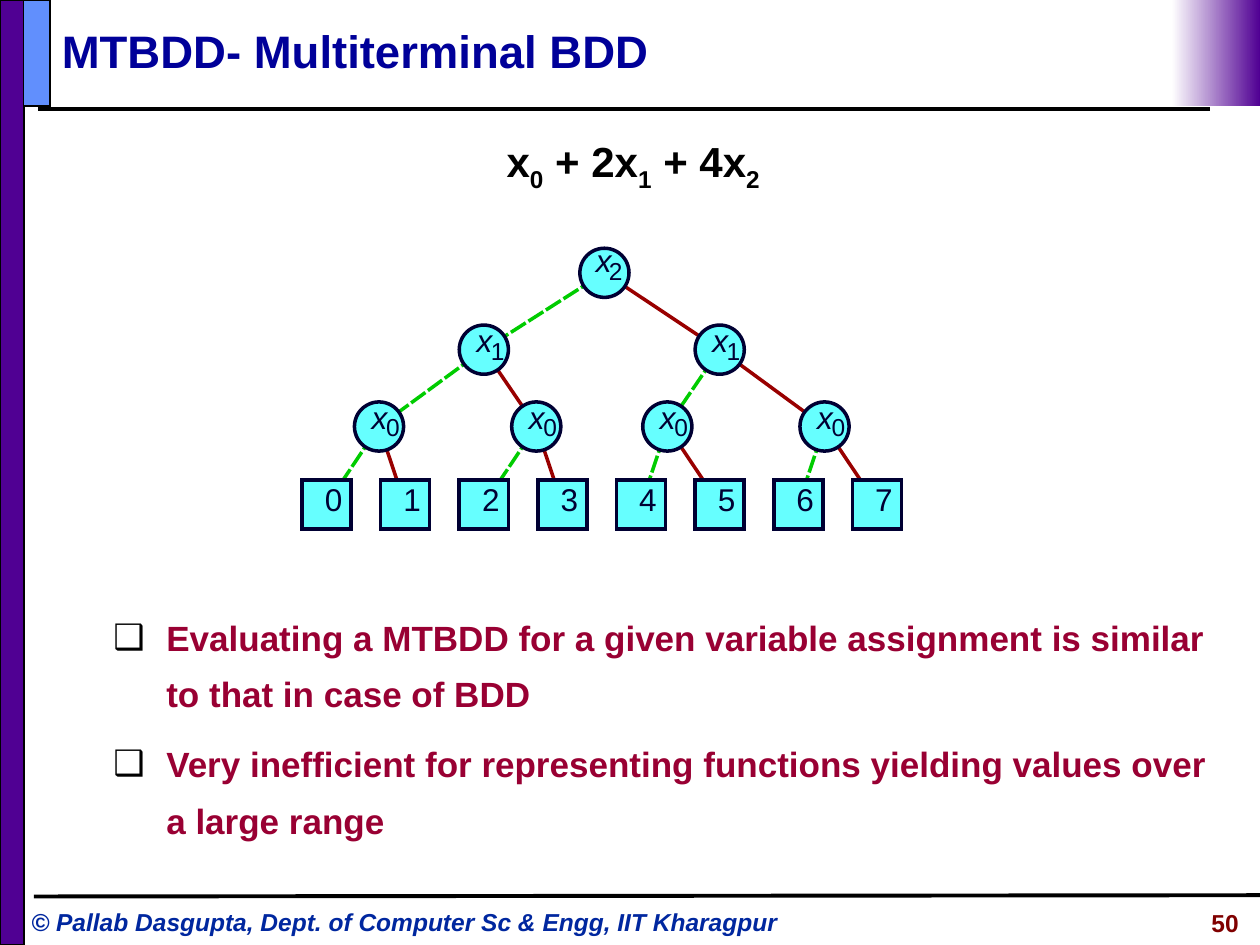
import math

from lxml import etree
from pptx import Presentation
from pptx import util as u
from pptx.dml.color import RGBColor
from pptx.enum import shapes, text
from pptx.oxml import ns

COLUMNS, ROWS = 100, 75
INK, NODE_FILL, LOW, HIGH = "000033", "66FFFF", "00CC00", "990000"
PITCH, NODE, TREE_LEFT = 2.08, 3.9, 23.97
LEVEL_TOPS = [19.7, 25.8, 31.9, 38.1]
DASH, DASH_STEP, DASH_START, LEAF_REACH = 1.4, 1.65, -0.85, 5.6
TREE = [
    ("2", [(10.6, [0, 1])]),
    ("1", [(6, [0, 1]), (15, [2, 3])]),
    ("0", [(2, [0, 1]), (8, [2, 3]), (13, [4, 5]), (19, [6, 7])]),
]
LEAF_COLUMNS = [3 * value for value in range(8)]
FORMULA = [("x", 0), ("0", -25), (" + 2x", 0), ("1", -25), (" + 4x", 0), ("2", -25)]
REMARKS = [
    "Evaluating a MTBDD for a given variable assignment is similar to that in case of BDD",
    "Very inefficient for representing functions yielding values over a large range",
]


def rgb(value):
    return RGBColor.from_string(value)


def child(parent, tag, **attributes):
    return etree.SubElement(parent, ns.qn(tag), attributes)


class Deck:
    font_name = "Arial"

    def __init__(self):
        self.file = Presentation()
        self.file.slide_width, self.file.slide_height = u.Inches(10), u.Inches(7.5)
        self.slide = self.file.slides.add_slide(self.file.slide_layouts[1])

    def across(self, columns):
        return int(self.file.slide_width * columns / COLUMNS)

    def down(self, rows):
        return int(self.file.slide_height * rows / ROWS)

    def area(self, left, top, width, height):
        return self.across(left), self.down(top), self.across(width), self.down(height)

    def style(self, font, size, color, **flags):
        values = {"name": self.font_name, "size": u.Pt(size), **flags}
        for key, value in values.items():
            setattr(font, key, value)
        font.color.rgb = rgb(color)

    def frame(self, holder, wrap=True, inset=(0.1, 0.05), anchor=text.MSO_ANCHOR.TOP):
        side, edge = map(u.Inches, inset)
        values = {
            "word_wrap": wrap, "auto_size": text.MSO_AUTO_SIZE.NONE,
            "vertical_anchor": anchor, "margin_left": side, "margin_right": side,
            "margin_top": edge, "margin_bottom": edge,
        }
        for key, value in values.items():
            setattr(holder.text_frame, key, value)
        return holder.text_frame

    def place(self, holder, area):
        holder.left, holder.top, holder.width, holder.height = self.area(*area)

    def title(self, wording, area):
        heading = self.slide.shapes.title
        self.place(heading, area)
        line = self.frame(heading, anchor=text.MSO_ANCHOR.MIDDLE).paragraphs[0]
        line.text, line.alignment = wording, text.PP_ALIGN.LEFT
        self.style(line.font, 26, "000099", bold=True)

    def bullets(self, items, area):
        body = self.slide.placeholders[1]
        self.place(body, area)
        frame = self.frame(body)
        for index, item in enumerate(items):
            line = frame.add_paragraph() if index else frame.paragraphs[0]
            line.text = item
            properties = line._p.get_or_add_pPr()
            hang = u.Inches(0.42)
            properties.set("marL", str(hang))
            properties.set("indent", str(-hang))
            child(child(properties, "a:buClr"), "a:srgbClr", val="000000")
            child(properties, "a:buChar", char="❑")
            line.line_spacing = 1.35
            line.space_before = u.Pt(7.5 if index else 0)
            self.style(line.font, 20, "990033", bold=True)

    def label(self, pieces, area, size, color, align="LEFT", spacing=1.0,
              wrap=False, inset=(0, 0), **flags):
        box = self.slide.shapes.add_textbox(*self.area(*area))
        line = self.frame(box, wrap, inset).paragraphs[0]
        line.alignment = getattr(text.PP_ALIGN, align)
        line.line_spacing = spacing
        for wording, baseline in pieces:
            run = line.add_run()
            run.text = wording
            self.style(run.font, size, color, **flags)
            if baseline:
                run.font._element.set("baseline", str(baseline * 1000))

    def block(self, area, fill, kind="RECTANGLE", line="000000", weight=1):
        block = self.slide.shapes.add_shape(
            getattr(shapes.MSO_SHAPE, kind), *self.area(*area))
        block.shadow.inherit = False
        block.fill.solid()
        block.fill.fore_color.rgb = rgb(fill)
        block.line.color.rgb = rgb(line)
        block.line.width = u.Pt(weight)
        child(block.line._get_or_add_ln(), "a:miter", lim="800000")
        return block

    def fade(self, area, start, end):
        band = self.block(area, start)
        band.line.fill.background()
        band.fill.gradient()
        band.fill.gradient_angle = 0
        for stop, color in zip(band.fill.gradient_stops, (start, end)):
            stop.color.rgb = rgb(color)

    def rule(self, start, end, color="000000", weight=2.25):
        rule = self.slide.shapes.add_connector(
            shapes.MSO_CONNECTOR.STRAIGHT,
            self.across(start[0]), self.down(start[1]),
            self.across(end[0]), self.down(end[1]))
        rule.line.color.rgb = rgb(color)
        rule.line.width = u.Pt(weight)
        child(rule._element.spPr, "a:effectLst")

    def dashes(self, start, end, color, weight, reach=math.inf):
        length = math.dist(start, end)
        limit = min(length, reach)

        def point(distance):
            share = min(max(distance, 0), limit) / length
            return [a + (b - a) * share for a, b in zip(start, end)]

        for step in range(math.ceil((limit - DASH_START) / DASH_STEP)):
            offset = DASH_START + step * DASH_STEP
            self.rule(point(offset), point(offset + DASH), color, weight)

    def node(self, left, top, kind):
        self.block((left, top, NODE, NODE), NODE_FILL, kind, INK, 2)

    def symbol(self, wording, area, size=18, **flags):
        self.label([(wording, 0)], area, size, INK, "CENTER", 0.9, **flags)


def corner(column, depth):
    return TREE_LEFT + PITCH * column, LEVEL_TOPS[depth]


def centre(column, depth):
    return tuple(edge + NODE / 2 for edge in corner(column, depth))


def draw_template(deck):
    deck.rule((3, 8.65), (96, 8.65))
    deck.label([("© Pallab Dasgupta, Dept. of Computer Sc & Engg, IIT Kharagpur", 0)],
               (1.5, 71.5, 63.7, 3.4), 14, "00279F", wrap=True, inset=(0.1, 0.05),
               bold=True, italic=True)
    deck.block((0, 0, 1.9, 75), "500093")
    deck.rule((2.7, 71.15), (100, 71.05))
    deck.block((1.87, 0, 2.1, 8.4), "618FFD")
    deck.fade((93, 0, 7, 8.4), "FFFFFF", "500093")
    deck.label([("50", 0)], (81.8, 71.6, 17.5, 3.5), 14, "800000", "RIGHT",
               wrap=True, inset=(0.1, 0.05), bold=True)


def draw_tree(deck):
    columns = [[column for column, _ in nodes] for _, nodes in TREE] + [LEAF_COLUMNS]
    for depth, (_, nodes) in enumerate(TREE):
        below = depth + 1
        reach = LEAF_REACH if below == len(TREE) else math.inf
        for column, (low, high) in nodes:
            start = centre(column, depth)
            deck.rule(start, centre(columns[below][high], below), HIGH, 2)
            deck.dashes(start, centre(columns[below][low], below), LOW, 2, reach)
    for depth, (variable, nodes) in enumerate(TREE):
        for column, _ in nodes:
            left, top = corner(column, depth)
            deck.node(left, top, "OVAL")
            lift = 0 if depth else 0.2
            deck.symbol("x", (left + 1.35 - lift / 2, top - lift, 1.3, 2.7), italic=True)
            deck.symbol(variable, (left + 2.5 - lift, top + 1.1 - lift, 1.1, 2.1), 14)
    for value, column in enumerate(LEAF_COLUMNS):
        left, top = corner(column, len(TREE))
        deck.node(left, top, "RECTANGLE")
        deck.symbol(str(value), (left + 1.8, top + 0.3, 1.4, 2.7))


def main():
    deck = Deck()
    draw_template(deck)
    deck.title("MTBDD- Multiterminal BDD", (3.9, 0.95, 91, 6.1))
    deck.label(FORMULA, (39.5, 10.65, 21.5, 4.5), 24, "000000", "CENTER", 0.87,
               inset=(0.07, 0.03), bold=True)
    deck.bullets(REMARKS, (8, 47.23, 89.4, 20.1))
    draw_tree(deck)
    deck.file.save("out.pptx")


if __name__ == "__main__":
    main()
